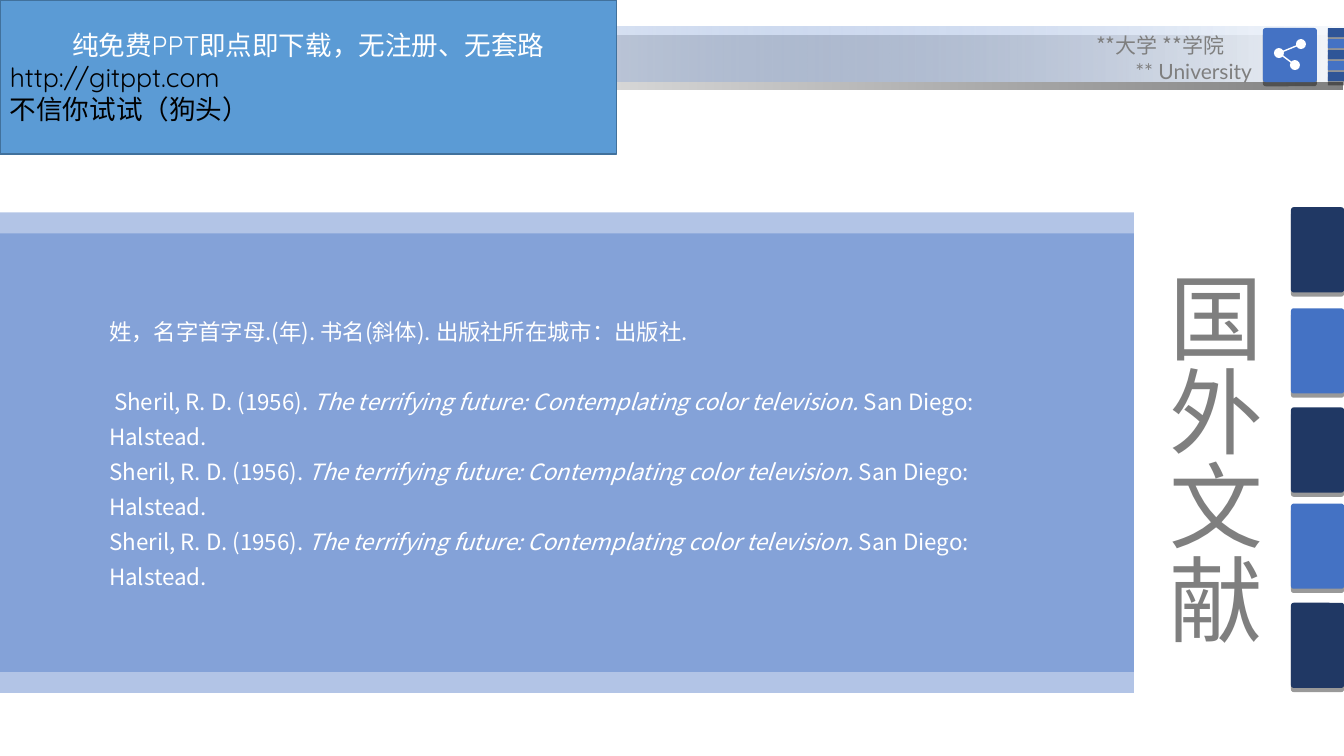
"""Build the foreign-literature citation slide."""
from dataclasses import dataclass

from lxml import etree
from pptx import Presentation
from pptx import util as u
from pptx.dml.color import RGBColor
from pptx.enum import shapes, text
from pptx.oxml import ns

PX = 9080


@dataclass(frozen=True)
class Theme:
    """Colours, type sizes and fonts of the slide."""
    blue: str = "4472C4"
    stripe: str = "2F5597"
    navy: str = "203864"
    banner: str = "5B9BD5"
    banner_line: str = "41719C"
    pale: str = "F7FAFD"
    white: str = "FFFFFF"
    black: str = "000000"
    gray: str = "7F7F7F"
    title_size: int = 67
    banner_size: int = 19
    body_size: int = 16
    label_size: int = 15
    cjk_font: str = "Noto Sans CJK SC"
    latin_font: str = "Lato"
    banner_font: str = "Quicksand"


def px(*lengths):
    """Turn whole pixels into EMU."""
    return [u.Emu(length * PX) for length in lengths]


def child(parent, tag, **attributes):
    """Append a drawing element with the given attributes."""
    element = etree.SubElement(parent, ns.qn(tag))
    for name, value in attributes.items():
        element.set(name, str(value))
    return element


def write(paragraph, words, *, size, color, font, italic=False):
    """Add one formatted run to a paragraph."""
    run = paragraph.add_run()
    run.text = words
    run.font.size = u.Pt(size)
    run.font.italic = italic
    run.font.color.rgb = RGBColor.from_string(color)
    run.font.name = font
    child(run.font._element, "a:ea", typeface=font)


class SlideBuilder:
    """Hold the theme and current slide, and draw its elements."""

    def __init__(self, slide, theme):
        """Keep the slide and theme."""
        self.slide = slide
        self.theme = theme

    def block(self, box, color, kind=shapes.MSO_SHAPE.RECTANGLE, line=None, radius=None):
        """Draw a filled preset shape."""
        shape = self.slide.shapes.add_shape(kind, *px(*box))
        shape.shadow.inherit = False
        shape.fill.solid()
        shape.fill.fore_color.rgb = RGBColor.from_string(color)
        if line:
            shape.line.color.rgb = RGBColor.from_string(line)
            shape.line.width = u.Pt(1)
        else:
            shape.line.fill.background()
        if radius is not None:
            shape.adjustments[0] = radius
        return shape

    def fade(self, shape, percent):
        """Set the opacity of the last fill colour."""
        color = list(shape.element.iter(ns.qn("a:srgbClr")))[-1]
        child(color, "a:alpha", val=percent * 1000)

    def shadow(self, shape, opacity=40, distance=3, angle=90):
        """Give a shape a hard shadow."""
        effects = shape.element.spPr.find(ns.qn("a:effectLst"))
        outer = child(effects, "a:outerShdw", blurRad=0, dist=u.Pt(distance),
                      dir=angle * 60000, algn="t", rotWithShape=0)
        color = child(outer, "a:srgbClr", val=self.theme.black)
        child(color, "a:alpha", val=opacity * 1000)

    def tile(self, box, color, radius=0.05):
        """Draw a rounded tile with a shadow."""
        shape = self.block(box, color, shapes.MSO_SHAPE.ROUNDED_RECTANGLE, radius=radius)
        self.shadow(shape)

    def header(self, box):
        """Draw the header strip that fades to the left."""
        shape = self.block(box, self.theme.pale)
        shape.fill.gradient()
        shape.fill.gradient_angle = 180
        for stop, color in zip(shape.fill.gradient_stops, (self.theme.pale, self.theme.blue)):
            stop.color.rgb = RGBColor.from_string(color)
        self.fade(shape, 0)
        self.shadow(shape, opacity=50, distance=6, angle=97)

    def banner(self, box, lines):
        """Draw the banner with lines given as words, colour and alignment."""
        shape = self.block(box, self.theme.banner, line=self.theme.banner_line)
        frame = shape.text_frame
        frame.word_wrap = True
        frame.vertical_anchor = text.MSO_ANCHOR.MIDDLE
        for number, (words, color, alignment) in enumerate(lines):
            paragraph = frame.add_paragraph() if number else frame.paragraphs[0]
            paragraph.alignment = alignment
            write(paragraph, words, size=self.theme.banner_size, color=color,
                  font=self.theme.banner_font)

    def share_icon(self, nodes, diameter):
        """Draw dots joined by lines, with the first dot as hub."""
        for x, y in nodes[1:]:
            line = self.slide.shapes.add_connector(
                shapes.MSO_CONNECTOR.STRAIGHT, *px(*nodes[0], x, y))
            line.line.color.rgb = RGBColor.from_string(self.theme.white)
            line.line.width = u.Pt(1)
            child(line.element.spPr, "a:effectLst")
        for x, y in nodes:
            self.block((x - diameter // 2, y - diameter // 2, diameter, diameter),
                       self.theme.white, shapes.MSO_SHAPE.OVAL)

    def label(self, box, words, font):
        """Write a right-aligned header label."""
        frame = self.slide.shapes.add_textbox(*px(*box)).text_frame
        frame.word_wrap = True
        paragraph = frame.paragraphs[0]
        paragraph.alignment = text.PP_ALIGN.RIGHT
        write(paragraph, words, size=self.theme.label_size, color=self.theme.gray, font=font)

    def placeholder(self, index, box):
        """Move a placeholder to the front and return its text frame."""
        shape = self.slide.placeholders[index]
        shape.left, shape.top, shape.width, shape.height = px(*box)
        shape.element.getparent().append(shape.element)
        frame = shape.text_frame
        frame.auto_size = text.MSO_AUTO_SIZE.NONE
        frame.vertical_anchor = text.MSO_ANCHOR.TOP
        frame.word_wrap = True
        return frame

    def title(self, box, words):
        """Write the vertical title."""
        frame = self.placeholder(0, box)
        frame.margin_left = frame.margin_right = u.Inches(0.05)
        frame.margin_top = u.Inches(0.05)
        frame.margin_bottom = 0
        frame._txBody.bodyPr.set("vert", "eaVert")
        paragraph = frame.paragraphs[0]
        paragraph.alignment = text.PP_ALIGN.LEFT
        paragraph.line_spacing = 1.0
        write(paragraph, words, size=self.theme.title_size,
              color=self.theme.gray, font=self.theme.cjk_font)

    def body(self, box, entries):
        """Write paragraphs given as space before and runs."""
        frame = self.placeholder(1, box)
        for number, (gap, runs) in enumerate(entries):
            paragraph = frame.add_paragraph() if number else frame.paragraphs[0]
            properties = paragraph._p.get_or_add_pPr()
            properties.set("marL", "0")
            properties.set("indent", "0")
            child(properties, "a:buNone")
            paragraph.line_spacing = 1.3
            paragraph.space_before = u.Pt(gap)
            for words, italic in runs:
                write(paragraph, words, size=self.theme.body_size, color=self.theme.white,
                      font=self.theme.cjk_font, italic=italic)


def main():
    """Compose and save the slide."""
    presentation = Presentation()
    presentation.slide_width, presentation.slide_height = px(1343, 755)
    theme = Theme()
    builder = SlideBuilder(
        presentation.slides.add_slide(presentation.slide_layouts[1]), theme)

    for top in (233, 212):
        builder.fade(builder.block((0, top, 1133, 459), theme.blue), 41)
    builder.title((1140, 266, 133, 400), "国外文献")
    reference = [("Sheril, R. D. (1956). ", False),
                 ("The terrifying future: Contemplating color television. ", True),
                 ("San Diego: Halstead.", False)]
    pattern = [("姓，名字首字母.(年). 书名(斜体). 出版社所在城市：出版社.", False)]
    builder.body((99, 305, 897, 316), [
        (0, pattern), (25, [(" ", False)] + reference), (0, reference), (0, reference)])

    builder.header((271, 27, 1072, 54))
    for row in range(5):
        builder.tile((1327, 28 + 11 * row, 16, 9), theme.blue if row % 2 else theme.stripe)
    builder.tile((1262, 28, 54, 54), theme.blue)
    builder.share_icon([(1278, 53), (1300, 44), (1294, 65)], 10)
    builder.label((1022, 28, 211, 35), "**大学 **学院", theme.cjk_font)
    builder.label((1022, 53, 239, 33), "** University", theme.latin_font)

    for number, top in enumerate((207, 308, 407, 503, 602)):
        builder.tile((1290, top, 53, 85), theme.blue if number % 2 else theme.navy)
    builder.banner((0, 0, 616, 154), [
        ("纯免费PPT即点即下载，无注册、无套路", theme.white, text.PP_ALIGN.CENTER),
        ("http://gitppt.com", theme.black, text.PP_ALIGN.LEFT),
        ("不信你试试（狗头）", theme.black, text.PP_ALIGN.LEFT)])
    presentation.save("out.pptx")


if __name__ == "__main__":
    main()
